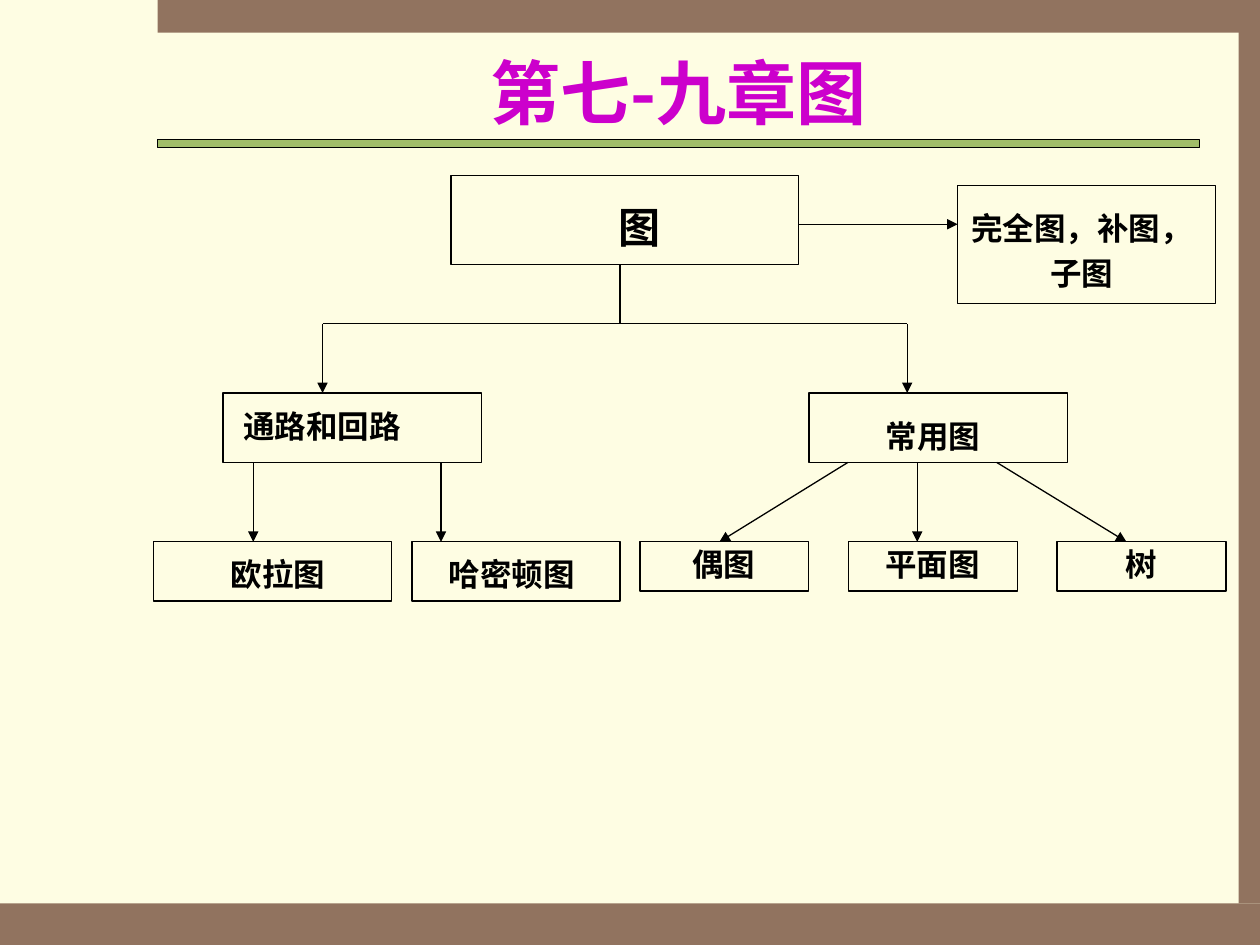
from lxml.etree import SubElement
from pptx import Presentation
from pptx.dml.color import RGBColor
from pptx.enum.shapes import MSO_CONNECTOR as Connector, MSO_SHAPE as Shape
from pptx.enum.text import MSO_ANCHOR as Anchor, MSO_AUTO_SIZE as AutoSize, PP_ALIGN as Align
from pptx.oxml.ns import qn
from pptx.util import Inches, Pt

FONT = "Noto Sans CJK SC"
COLORS = {"page": "FEFDE3", "frame": "91735F", "rule": "A1BD69", "title": "CC00CC", "ink": "000000"}

FRAME = [(0, 7.17, 10, 0.33), (1.25, 0, 8.75, 0.26), (9.83, 0.25, 0.17, 6.92)]
TITLE_RULE = (1.25, 1.11, 8.27, 0.06)
TITLE = ("第七-九章图", (1.25, 0.33, 8.27, 0.79))

BRANCH_Y, TOPIC_Y, TOPIC_BOTTOM, LEAF_Y = 2.57, 3.12, 3.67, 4.3
TOPIC_SIZE = (2.05, TOPIC_BOTTOM - TOPIC_Y)

TOPICS = [
    ("图", (3.58, 1.39, 2.76, 0.71), (4.13, 1.47, 1.89, 0.58), 24),
    ("完全图，补图，子图", (7.6, 1.47, 2.05, 0.94), (7.6, 1.55, 1.97, 0.82), 18),
    ("通路和回路", (1.77, TOPIC_Y, *TOPIC_SIZE), (1.53, TOPIC_Y, 2.05, 0.46), 18),
    ("常用图", (6.42, TOPIC_Y, *TOPIC_SIZE), (6.42, 3.2, 1.97, 0.46), 18),
    ("欧拉图", (1.22, LEAF_Y, 1.89, 0.47), (1.46, LEAF_Y, 1.49, 0.46), 18),
    ("哈密顿图", (3.27, LEAF_Y, 1.65, 0.47), (3.35, LEAF_Y, 1.42, 0.46), 18),
]
COMMON_GRAPHS = ["偶图", "平面图", "树"]
COMMON_LEFT, COMMON_STEP = 5.08, 1.655

BRANCHES = [((4.92, 2.1), (4.92, BRANCH_Y)), ((2.56, BRANCH_Y), (7.2, BRANCH_Y))]
ARROWS = [((6.34, 1.78), (7.6, 1.78))]
ARROWS += [((x, BRANCH_Y), (x, TOPIC_Y)) for x in (2.56, 7.2)]
ARROWS += [((start, TOPIC_BOTTOM), (end, LEAF_Y)) for start, end in
           [(2.01, 2.01), (3.5, 3.5), (6.73, 5.71), (7.28, 7.28), (7.91, 8.94)]]

for i, graph in enumerate(COMMON_GRAPHS):
    left = COMMON_LEFT + i * COMMON_STEP
    TOPICS.append((graph, (left, LEAF_Y, 1.34, 0.39), (left - 0.08, 4.22, 1.49, 0.46), 18))


def rgb(name):
    return RGBColor.from_string(COLORS[name])


def inches(values):
    return [Inches(value) for value in values]


def add_box(slide, place, fill=None, outlined=True):
    box = slide.shapes.add_shape(Shape.RECTANGLE, *inches(place))
    box.shadow.inherit = False
    if fill:
        box.fill.solid()
        box.fill.fore_color.rgb = rgb(fill)
    else:
        box.fill.background()
    if outlined:
        box.line.color.rgb = rgb("ink")
        box.line.width = Pt(0.75)
    else:
        box.line.fill.background()


def add_label(slide, text, place, size, color="ink"):
    frame = slide.shapes.add_textbox(*inches(place)).text_frame
    frame.word_wrap = True
    paragraph = frame.paragraphs[0]
    paragraph.alignment = Align.CENTER
    run = paragraph.add_run()
    run.text = text
    run.font.name = FONT
    run.font.size = Pt(size)
    run.font.bold = True
    run.font.color.rgb = rgb(color)
    SubElement(run.font._element, qn("a:ea"), typeface=FONT)
    return frame


def add_line(slide, start, end, arrow=False):
    line = slide.shapes.add_connector(Connector.STRAIGHT, *inches(start + end))
    line.line.color.rgb = rgb("ink")
    line.line.width = Pt(0.75)
    if arrow:
        SubElement(line.line._get_or_add_ln(), qn("a:tailEnd"), type="triangle")
    SubElement(line._element.spPr, qn("a:effectLst"))


def main():
    deck = Presentation()
    deck.slide_width, deck.slide_height = Inches(10), Inches(7.5)
    slide = deck.slides.add_slide(deck.slide_layouts[6])
    slide.background.fill.solid()
    slide.background.fill.fore_color.rgb = rgb("page")

    for place in FRAME:
        add_box(slide, place, "frame", outlined=False)
    add_box(slide, TITLE_RULE, "rule")
    title, title_place = TITLE
    add_label(slide, title, title_place, 40, "title").vertical_anchor = Anchor.MIDDLE

    for text, box_place, label_place, size in TOPICS:
        add_box(slide, box_place)
        label = add_label(slide, text, label_place, size)
        label.auto_size = AutoSize.SHAPE_TO_FIT_TEXT
        label.paragraphs[0].line_spacing = 1.2
        label.paragraphs[0].space_before = Pt(size * 0.625)
    for start, end in BRANCHES:
        add_line(slide, start, end)
    for start, end in ARROWS:
        add_line(slide, start, end, arrow=True)

    deck.save("out.pptx")


if __name__ == "__main__":
    main()
